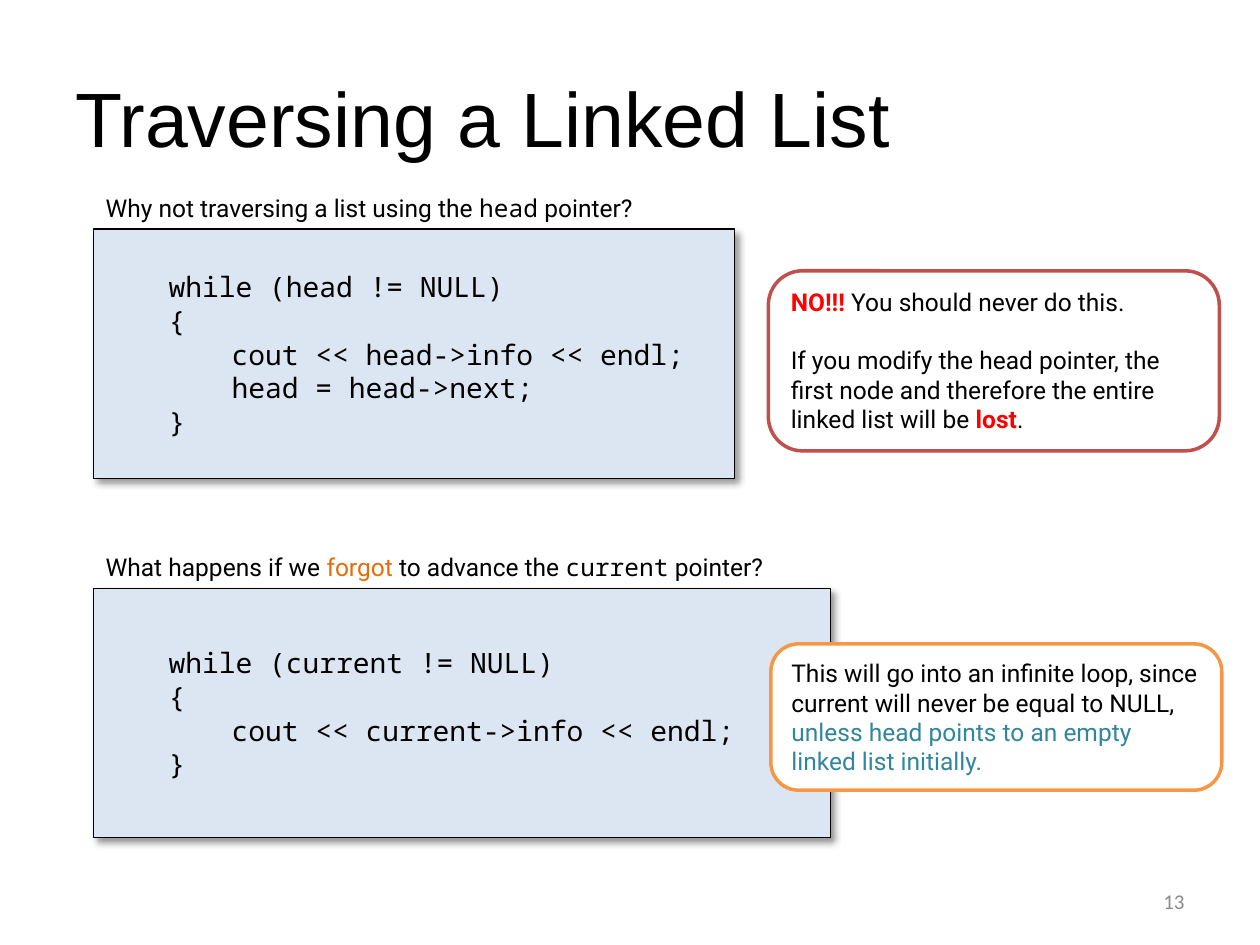
"""Build the slide on traversing a linked list with the head pointer."""
from lxml import etree
from pptx import Presentation, util as u
from pptx.dml.color import RGBColor
from pptx.enum import shapes, text
from pptx.oxml import ns

SANS, MONO = "Roboto", "Noto Sans Mono"
CODE_STYLE = {"name": MONO}
ALERT = {"color": "FF0000", "bold": True}
LEFT, CODE_HEIGHT, LABEL_HEIGHT = 1.88, 5.03, 0.86
TAB_STOPS = (1.27, 2.54)

TITLE = "Traversing a Linked List"
PAGE_NUMBER = "13"
EXAMPLES = [
    {
        "top": 4.62,
        "width": 12.93,
        "label": [("Why not traversing a list using the ", {}),
                  ("head", CODE_STYLE), (" pointer?", {})],
        "code": ["\twhile (head != NULL)", "\t{",
                 "\t\tcout << head->info << endl;",
                 "\t\thead = head->next;", "\t}"],
        "callout": (15.49, 5.46, 9.09, 3.63),
        "border": "C0504D",
        "answer": [
            [("NO!!! ", ALERT), ("You should never do this.", {})],
            [("If you modify the head pointer, the first node and therefore "
              "the entire linked list will be ", {}), ("lost", ALERT), (".", {})],
        ],
    },
    {
        "top": 11.86,
        "width": 14.86,
        "label": [("What happens if we ", {}), ("forgot", {"color": "E46C0A"}),
                  (" to advance the ", {}), ("current", CODE_STYLE),
                  (" pointer?", {})],
        "code": ["\twhile (current != NULL)", "\t{",
                 "\t\tcout << current->info << endl;", "\t}"],
        "callout": (15.54, 12.98, 9.09, 2.95),
        "border": "F79646",
        "answer": [
            [("This will go into an infinite loop, since current will never "
              "be equal to NULL, ", {}),
             ("unless head points to an empty linked list initially.",
              {"color": "31859C"})],
        ],
    },
]


def rgb(value):
    """Turn a hex string into a colour."""
    return RGBColor.from_string(value)


def style_font(font, name=None, size=None, color=None, bold=None):
    """Set only the font properties that are given."""
    if name:
        font.name = name
    if size:
        font.size = u.Pt(size)
    if color:
        font.color.rgb = rgb(color)
    if bold is not None:
        font.bold = bold


def add_tabs(paragraph):
    """Give a paragraph the tab stops of the code."""
    properties = paragraph._p.get_or_add_pPr()
    tabs = etree.SubElement(properties, ns.qn("a:tabLst"))
    for stop in TAB_STOPS:
        etree.SubElement(tabs, ns.qn("a:tab"), pos=str(u.Cm(stop)), algn="l")


def write(shape, paragraphs, name=SANS, size=14, color="000000", tabbed=False,
          gap=0, align=text.PP_ALIGN.LEFT, anchor=text.MSO_ANCHOR.TOP):
    """Fill a shape with paragraphs made of (words, style) runs."""
    frame = shape.text_frame
    frame.word_wrap = True
    frame.vertical_anchor = anchor
    for index, runs in enumerate(paragraphs):
        paragraph = frame.add_paragraph() if index else frame.paragraphs[0]
        paragraph.alignment = align
        if index and gap:
            paragraph.space_before = u.Pt(gap)
        if tabbed:
            add_tabs(paragraph)
        style_font(paragraph.font, name, size, color)
        for words, style in runs:
            run = paragraph.add_run()
            run.text = words
            style_font(run.font, **style)


def add_label(slide, box, paragraphs, **style):
    """Add a text box."""
    shape = slide.shapes.add_textbox(*map(u.Cm, box))
    write(shape, paragraphs, **style)


def add_box(slide, kind, box, fill, line, width):
    """Add a filled and outlined shape."""
    shape = slide.shapes.add_shape(kind, *map(u.Cm, box))
    shape.shadow.inherit = False
    shape.fill.solid()
    shape.fill.fore_color.rgb = rgb(fill)
    shape.line.color.rgb = rgb(line)
    shape.line.width = u.Pt(width)
    return shape


def add_shadow(shape):
    """Cast a soft shadow down to the right."""
    effects = shape._element.spPr.find(ns.qn("a:effectLst"))
    shadow = etree.SubElement(
        effects, ns.qn("a:outerShdw"), blurRad=str(u.Pt(4)), dist=str(u.Pt(3)),
        dir="2700000", algn="tl", rotWithShape="0")
    color = etree.SubElement(shadow, ns.qn("a:srgbClr"), val="000000")
    etree.SubElement(color, ns.qn("a:alpha"), val="40000")


def add_example(slide, example):
    """Add a question, its code and the answer beside it."""
    top, width = example["top"], example["width"]
    code = add_box(slide, shapes.MSO_SHAPE.RECTANGLE,
                   (LEFT, top, width, CODE_HEIGHT), "DCE6F2", "000000", 0.75)
    add_shadow(code)
    write(code, [[(line, {})] for line in example["code"]], name=MONO, size=16,
          tabbed=True, anchor=text.MSO_ANCHOR.MIDDLE)
    add_label(slide, (LEFT, top - LABEL_HEIGHT, 15.8, LABEL_HEIGHT),
              [example["label"]])
    callout = add_box(slide, shapes.MSO_SHAPE.ROUNDED_RECTANGLE,
                      example["callout"], "FFFFFF", example["border"], 2)
    callout.adjustments[0] = 0.19
    write(callout, example["answer"], gap=16.5)


def main():
    """Build and save the slide."""
    presentation = Presentation()
    presentation.slide_width, presentation.slide_height = u.Cm(25.4), u.Cm(19.05)
    slide = presentation.slides.add_slide(presentation.slide_layouts[6])
    add_label(slide, (1.27, 0.76, 22.86, 3.18), [[(TITLE, {})]], name="Arial",
              size=44, anchor=text.MSO_ANCHOR.MIDDLE)
    for example in EXAMPLES:
        add_example(slide, example)
    add_label(slide, (18.2, 17.65, 5.93, 1.02), [[(PAGE_NUMBER, {})]],
              name="Calibri", size=12, color="8C8C8C",
              align=text.PP_ALIGN.RIGHT, anchor=text.MSO_ANCHOR.MIDDLE)
    presentation.save("out.pptx")


if __name__ == "__main__":
    main()
